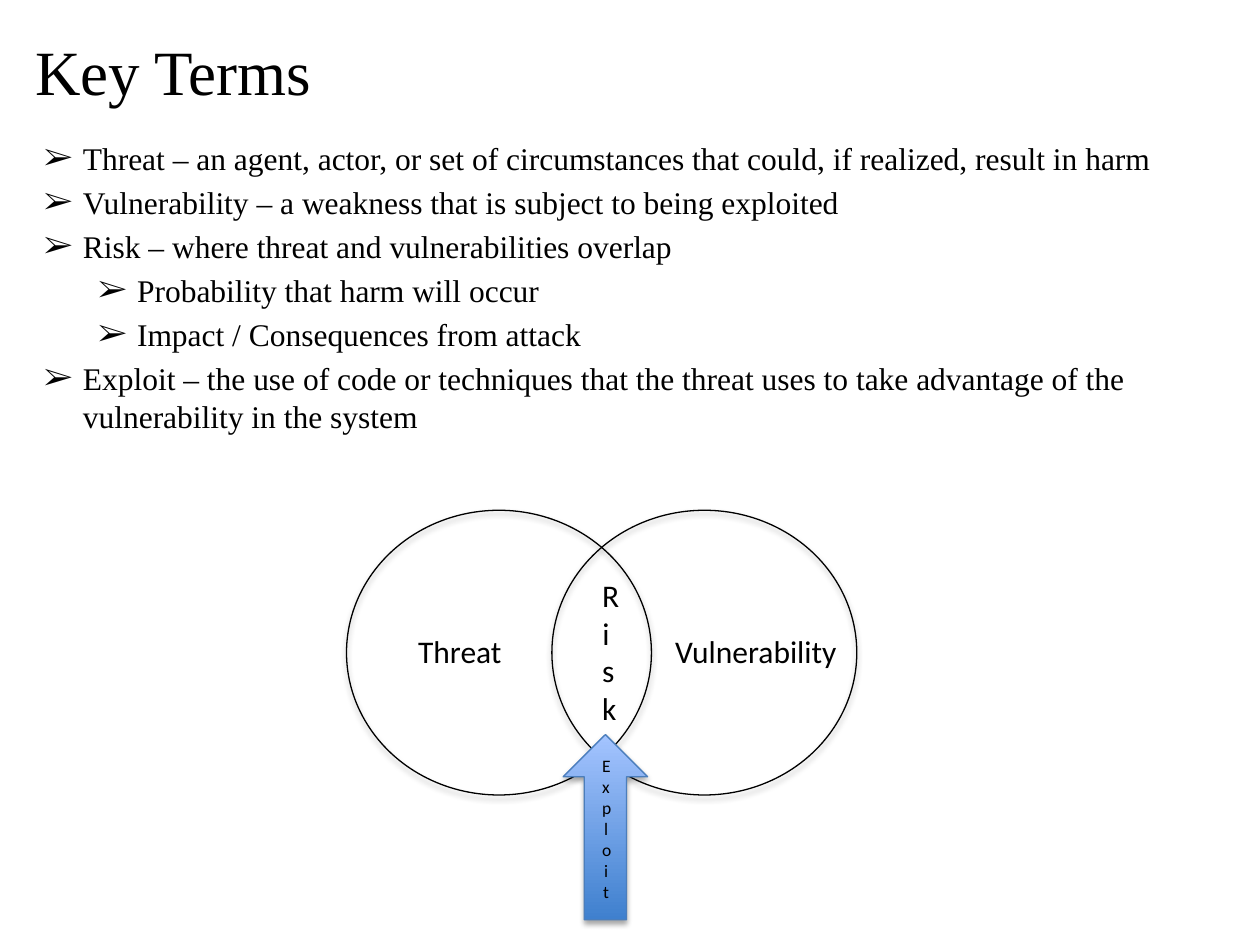
import pptx
import pptx.util
import pptx.dml.color
import pptx.enum.shapes
import pptx.enum.text
import pptx.oxml
import pptx.oxml.ns
import lxml.etree

Inches = pptx.util.Inches
Pt = pptx.util.Pt
SHAPES = pptx.enum.shapes.MSO_SHAPE
ALIGN = pptx.enum.text.PP_ALIGN
ANCHOR = pptx.enum.text.MSO_ANCHOR
BLACK = "000000"
TERMS = [
    (0, "Threat – an agent, actor, or set of circumstances that could, if realized, result in harm"),
    (0, "Vulnerability – a weakness that is subject to being exploited"),
    (0, "Risk – where threat and vulnerabilities overlap"),
    (1, "Probability that harm will occur"),
    (1, "Impact / Consequences from attack"),
    (0, "Exploit – the use of code or techniques that the threat uses to take advantage "
        "of the vulnerability in the system"),
]


def color(value):
    return pptx.dml.color.RGBColor.from_string(value)


def add_box(page, left, top, width, height, wrap=True):
    box = page.shapes.add_textbox(Inches(left), Inches(top), Inches(width), Inches(height))
    box.text_frame.word_wrap = wrap
    return box.text_frame


def add_run(para, text, size, font):
    span = para.add_run()
    span.text = text
    span.font.size = Pt(size)
    span.font.name = font
    span.font.color.rgb = color(BLACK)


def add_title(page, text):
    frame = add_box(page, 0.18, 0.25, 6.24, 0.61)
    frame.vertical_anchor = ANCHOR.MIDDLE
    add_run(frame.paragraphs[0], text, 36, "Times New Roman")


def set_bullet(para, level):
    properties = para._p.get_or_add_pPr()
    properties.set("marL", str(Inches(0.38 + 0.43 * level)))
    properties.set("indent", str(Inches(-0.31)))
    bullet_font = lxml.etree.SubElement(properties, pptx.oxml.ns.qn("a:buFont"))
    bullet_font.set("typeface", "Times New Roman")
    bullet = lxml.etree.SubElement(properties, pptx.oxml.ns.qn("a:buChar"))
    bullet.set("char", "➢")


def add_terms(page, terms):
    frame = add_box(page, 0.18, 1.05, 9.6, 6.31)
    for index, (level, text) in enumerate(terms):
        para = frame.add_paragraph() if index else frame.paragraphs[0]
        para.level = level
        set_bullet(para, level)
        if index:
            para.space_before = Pt(3.6)
        add_run(para, text, 18, "Times New Roman")


def add_label(page, text, left, top, width, height, size=18, stacked=False):
    frame = add_box(page, left, top, width, height, wrap=stacked)
    para = frame.paragraphs[0]
    if stacked:
        para.alignment = ALIGN.CENTER
    add_run(para, text, size, "Calibri")


def add_shadow(shape):
    shape.shadow.inherit = False
    effects = shape._element.spPr.find(pptx.oxml.ns.qn("a:effectLst"))
    effects.append(pptx.oxml.parse_xml(
        f'<a:outerShdw {pptx.oxml.ns.nsdecls("a")} blurRad="40000" dist="23000" '
        'dir="5400000" rotWithShape="0"><a:srgbClr val="000000">'
        '<a:alpha val="35000"/></a:srgbClr></a:outerShdw>'))


def add_outline(page, kind, left, top, width, height, line):
    shape = page.shapes.add_shape(kind, Inches(left), Inches(top), Inches(width), Inches(height))
    shape.fill.background()
    shape.line.color.rgb = color(line)
    shape.line.width = Pt(0.75)
    add_shadow(shape)
    return shape


def add_arrow(page):
    arrow = add_outline(page, SHAPES.UP_ARROW, 4.47, 5.83, 0.67, 1.47, "4B7EBC")
    arrow.fill.gradient()
    arrow.fill.gradient_angle = 90
    for stop, value in zip(arrow.fill.gradient_stops, ("3F80CE", "A4C4FF")):
        stop.color.rgb = color(value)


def main():
    deck = pptx.Presentation()
    deck.slide_width, deck.slide_height = Inches(10), Inches(7.5)
    page = deck.slides.add_slide(deck.slide_layouts[6])
    add_title(page, "Key Terms")
    add_terms(page, TERMS)
    for left in (2.75, 4.38):
        add_outline(page, SHAPES.OVAL, left, 4.05, 2.42, 2.26, BLACK)
    add_label(page, "Risk", 4.68, 4.52, 0.26, 1.31, stacked=True)
    add_label(page, "Threat", 3.22, 4.97, 0.87, 0.4)
    add_label(page, "Vulnerability", 5.26, 4.97, 1.5, 0.4)
    add_arrow(page)
    add_label(page, "Exploit", 4.68, 5.94, 0.26, 1.28, size=10, stacked=True)
    deck.save("out.pptx")


if __name__ == "__main__":
    main()
